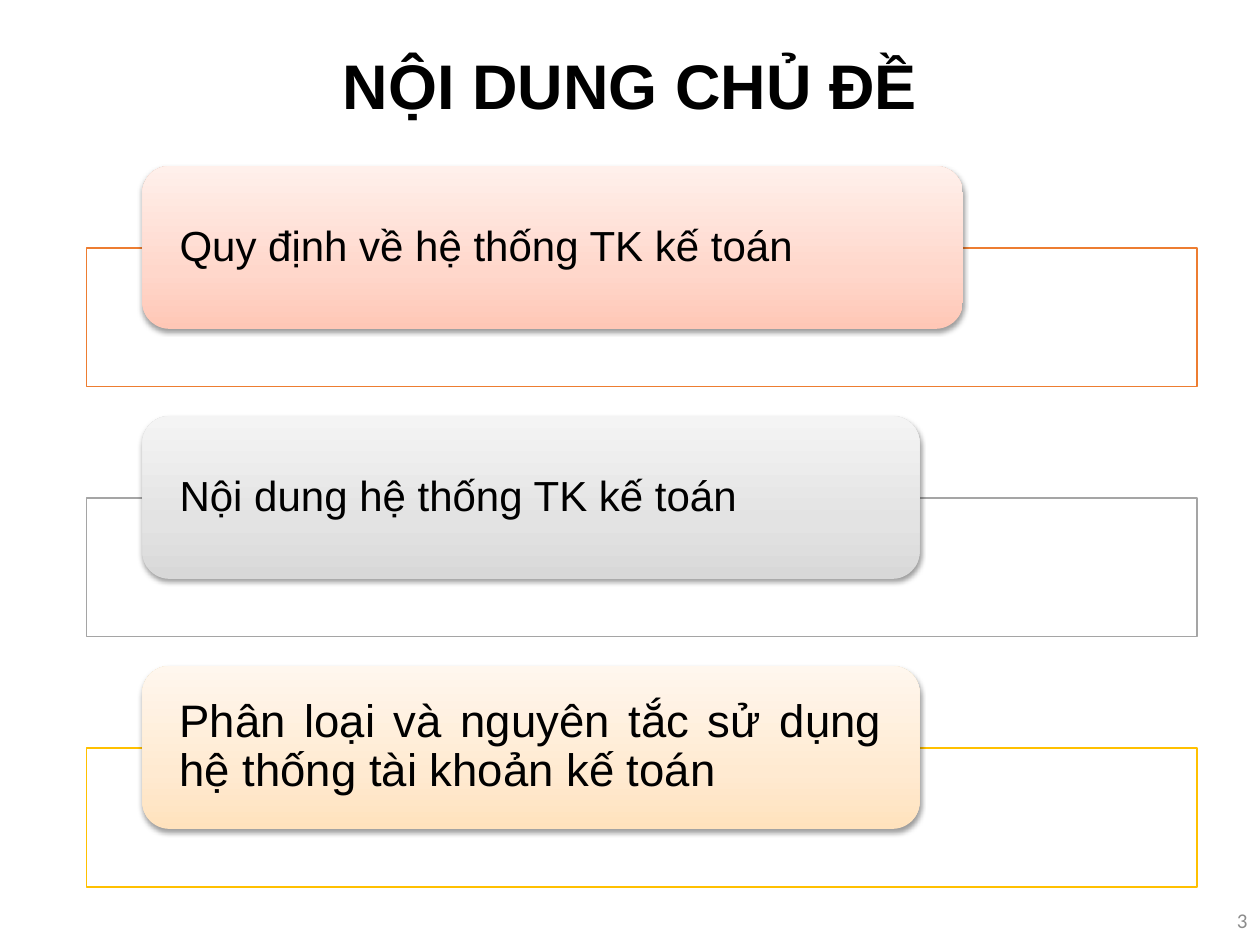
"""Build the topic contents slide with three outlined headings."""
from pptx import Presentation
from pptx.dml.color import RGBColor
from pptx.enum.shapes import MSO_SHAPE as Shape
from pptx.enum.text import MSO_ANCHOR as Anchor, PP_ALIGN as Align
from pptx.oxml import parse_xml
from pptx.oxml.ns import nsdecls, qn
from pptx.util import Cm, Pt

COLORS = {"text": "000000", "number": "8C8C8C", "panel": "FFFFFF", "shadow": "000000"}
TOPICS = [
    ("Quy định về hệ thống TK kế toán", 24, 16.54, "ED7D31", ("FFC7B6", "FFD7CB", "FFF0EB")),
    ("Nội dung hệ thống TK kế toán", 24, 15.67, "A5A5A5", ("D8D8D8", "E3E3E3", "F4F4F4")),
    ("Phân loại và nguyên tắc sử dụng hệ thống tài khoản kế toán", 26, 15.67, "FFC000",
     ("FFE2BD", "FFEAD1", "FFF7EE")),
]
STOPS = (0, 35, 100)
TOP, PITCH = 3.35, 5.04


def write_text(shape, text, size, font="Arial", color="text", bold=False,
               align=Align.LEFT, spacing=0.9, inset=0.25):
    frame = shape.text_frame
    frame.word_wrap = True
    frame.vertical_anchor = Anchor.MIDDLE
    frame.margin_left = frame.margin_right = Cm(inset)
    frame.margin_top = frame.margin_bottom = 0
    paragraph = frame.paragraphs[0]
    paragraph.alignment = align
    paragraph.line_spacing = spacing
    run = paragraph.add_run()
    run.text = text
    run.font.name = font
    run.font.size = Pt(size)
    run.font.bold = bold
    run.font.color.rgb = RGBColor.from_string(COLORS[color])


presentation = Presentation()
presentation.slide_width = Cm(25.4)
presentation.slide_height = Cm(19.05)
slide = presentation.slides.add_slide(presentation.slide_layouts[5])

title = slide.shapes.title
title.left, title.top, title.width, title.height = Cm(1.75), Cm(0.38), Cm(21.9), Cm(2.82)
write_text(title, "NỘI DUNG CHỦ ĐỀ", 36, bold=True, align=Align.CENTER)

for index, (topic, size, width, outline, gradient) in enumerate(TOPICS):
    top = TOP + index * PITCH
    panel = slide.shapes.add_shape(Shape.RECTANGLE, Cm(1.75), Cm(top + 1.65), Cm(22.38), Cm(2.8))
    panel.shadow.inherit = False
    panel.fill.solid()
    panel.fill.fore_color.rgb = RGBColor.from_string(COLORS["panel"])
    panel.line.color.rgb = RGBColor.from_string(outline)
    panel.line.width = Pt(0.75)

    heading = slide.shapes.add_shape(Shape.ROUNDED_RECTANGLE, Cm(2.87), Cm(top), Cm(width), Cm(3.28))
    heading.line.fill.background()
    heading.fill.gradient()
    heading.fill.gradient_angle = 90
    stops = "".join(
        f'<a:gs pos="{stop * 1000}"><a:srgbClr val="{color}"/></a:gs>'
        for stop, color in zip(STOPS, gradient))
    properties = heading.element.spPr
    stop_list = properties.find(".//" + qn("a:gsLst"))
    stop_list.getparent().replace(
        stop_list, parse_xml(f'<a:gsLst {nsdecls("a")}>{stops}</a:gsLst>'))
    heading.shadow.inherit = False
    properties.find(qn("a:effectLst")).append(parse_xml(
        f'<a:outerShdw {nsdecls("a")} blurRad="{Pt(3.1)}" dist="{Pt(1.6)}" dir="5400000" '
        f'rotWithShape="0"><a:srgbClr val="{COLORS["shadow"]}"><a:alpha val="38000"/>'
        '</a:srgbClr></a:outerShdw>'))
    write_text(heading, topic, size, align=Align.JUSTIFY, inset=0.59)

number = slide.shapes.add_textbox(Cm(19.69), Cm(18.03), Cm(5.71), Cm(1.02))
write_text(number, "3", 12, font="Calibri", color="number", align=Align.RIGHT, spacing=1.0)

presentation.save("out.pptx")
